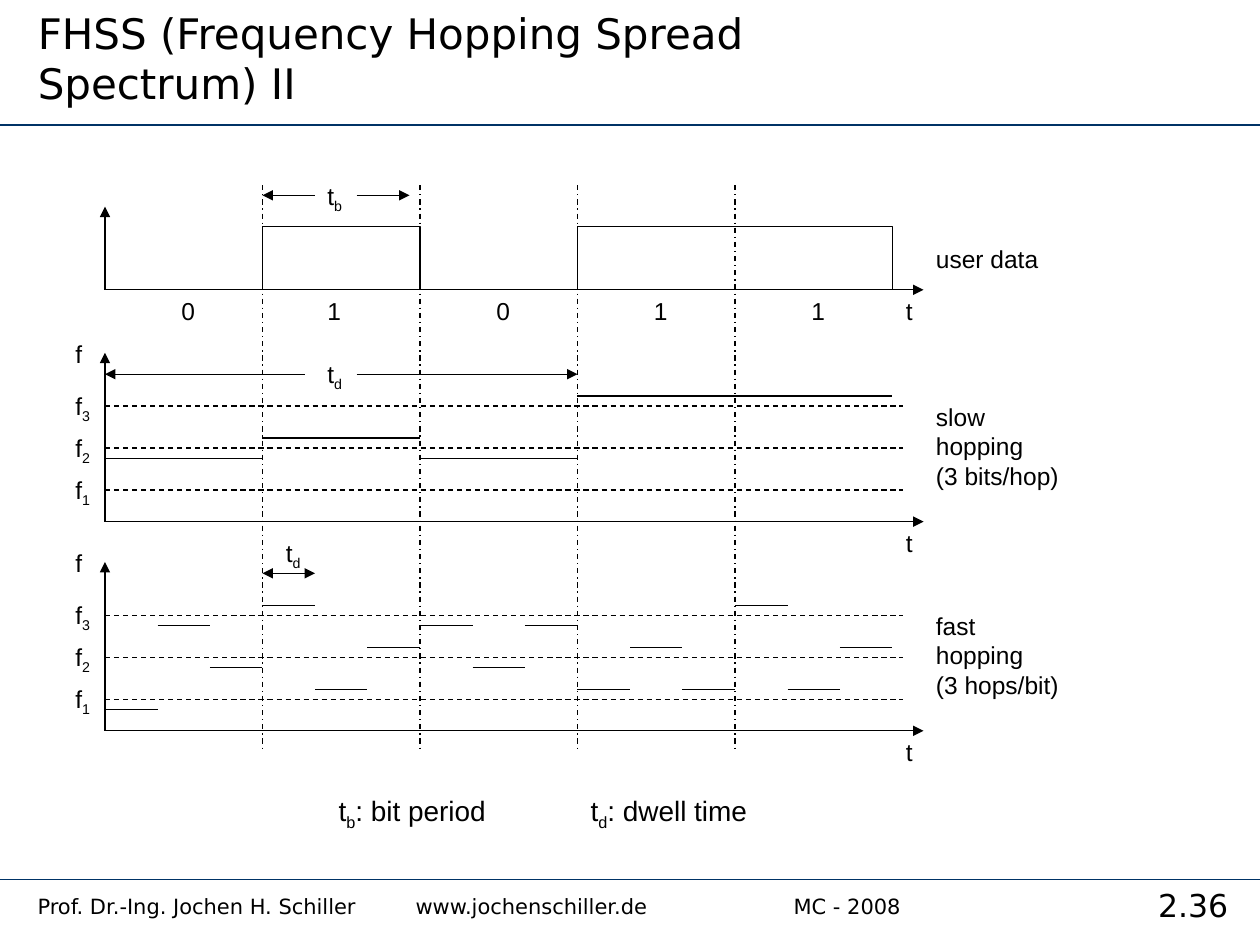
from lxml import etree
from pptx import Presentation
from pptx import util as u
from pptx.dml.color import RGBColor
from pptx.enum import dml, shapes, text
from pptx.oxml.ns import qn

COLORS = {"ink": "000000", "rule": "003366"}
HEADING_FONT, LABEL_FONT = "DejaVu Sans", "Arial"

ORIGIN, BIT = 5 / 6, 1.25
AXIS_END, GUIDE_END = 7.33, 7.17
DATA_BASE, PULSE = 2.3, 0.5
LEVEL_STEP, FIRST_LEVEL, SHIFT = 1 / 3, 0.25, 0.08
LABEL_LEFT, CAPTION_LEFT, TIME_LEFT = 0.5, 7.33, 7.09

BITS = [0, 1, 0, 1, 1]
BIT_LABEL_LEFTS = [1.34, 2.5, 3.84, 5.09, 6.34]
# Frequency index of every hop, grouped by bit
SLOW_HOPS = [[2], [2], [2], [3], [3]]
FAST_HOPS = [[1, 3, 2], [3, 1, 2], [3, 2, 3], [1, 2, 1], [3, 1, 2]]


def bit_start(index):
    return ORIGIN + index * BIT


class SlideBuilder:
    def __init__(self, prs):
        self.slide = prs.slides.add_slide(prs.slide_layouts[5])

    def fill_frame(self, frame, paragraphs, size, font, align=None):
        """Each paragraph is a list of runs; a run starting with _ is a subscript."""
        frame.word_wrap = True
        frame.auto_size = text.MSO_AUTO_SIZE.NONE
        frame.margin_left = frame.margin_right = u.Inches(0.1)
        frame.margin_top = frame.margin_bottom = u.Inches(0.05)
        for index, runs in enumerate(paragraphs):
            para = frame.paragraphs[0] if index == 0 else frame.add_paragraph()
            para.alignment = align or text.PP_ALIGN.LEFT
            if any("\t" in words for words in runs):
                stops = etree.SubElement(para._p.get_or_add_pPr(), qn("a:tabLst"))
                for inch in range(1, 8):
                    etree.SubElement(stops, qn("a:tab"), pos=str(u.Inches(inch)), algn="l")
            for words in runs:
                run = para.add_run()
                run.text = words.removeprefix("_")
                run.font.size = u.Pt(size)
                run.font.name = font
                run.font.color.rgb = RGBColor.from_string(COLORS["ink"])
                if words.startswith("_"):
                    run._r.get_or_add_rPr().set("baseline", "-25000")

    def title(self, words, left, top, width, height):
        heading = self.slide.shapes.title
        heading.left, heading.top = u.Inches(left), u.Inches(top)
        heading.width, heading.height = u.Inches(width), u.Inches(height)
        heading.text_frame.vertical_anchor = text.MSO_ANCHOR.BOTTOM
        self.fill_frame(heading.text_frame, [[words]], 24, HEADING_FONT)

    def label(self, paragraphs, left, top, width=0.35, height=0.34,
              size=14, font=LABEL_FONT, align=None):
        box = self.slide.shapes.add_textbox(
            u.Inches(left), u.Inches(top), u.Inches(width), u.Inches(height))
        self.fill_frame(box.text_frame, paragraphs, size, font, align)

    def symbol(self, letter, index, left, top):
        self.label([[letter, "_" + index]], left, top, height=0.37)

    def line(self, x1, y1, x2, y2, dash=None, head=False, tail=False,
             color="ink", weight=0.75):
        stroke = self.slide.shapes.add_connector(
            shapes.MSO_CONNECTOR.STRAIGHT,
            u.Inches(x1), u.Inches(y1), u.Inches(x2), u.Inches(y2))
        stroke.line.color.rgb = RGBColor.from_string(COLORS[color])
        stroke.line.width = u.Pt(weight)
        if dash:
            stroke.line.dash_style = dash
        outline = stroke.line._get_or_add_ln()
        for wanted, tag in ((head, "a:headEnd"), (tail, "a:tailEnd")):
            if wanted:
                etree.SubElement(outline, qn(tag), type="triangle")
        etree.SubElement(stroke._element.spPr, qn("a:effectLst"))

    def axes(self, base, height):
        self.line(ORIGIN, base, ORIGIN, base - height, tail=True)
        self.line(ORIGIN, base, AXIS_END, base, tail=True)
        self.label([["t"]], TIME_LEFT, base)

    def pulse(self, first_bit, bit_count):
        left, right = bit_start(first_bit), bit_start(first_bit + bit_count)
        top = DATA_BASE - PULSE
        builder = self.slide.shapes.build_freeform(u.Inches(left), u.Inches(DATA_BASE))
        builder.add_line_segments(
            [(u.Inches(x), u.Inches(y))
             for x, y in ((left, top), (right, top), (right, DATA_BASE))], close=False)
        signal = builder.convert_to_shape()
        signal.shadow.inherit = False
        signal.fill.background()
        signal.line.color.rgb = RGBColor.from_string(COLORS["ink"])
        signal.line.width = u.Pt(0.75)

    def hopping_chart(self, base, hops, caption):
        """Axes, dashed carrier frequencies and the hops around them."""
        self.axes(base, 1.34)
        self.label([["f"]], LABEL_LEFT, base - 1.5)
        self.label([[words] for words in caption], CAPTION_LEFT, base - 1, 1.3, 0.8)
        carriers = {n: base - FIRST_LEVEL - (n - 1) * LEVEL_STEP for n in (1, 2, 3)}
        for n, y in carriers.items():
            self.line(ORIGIN, y, GUIDE_END, y, dash=dml.MSO_LINE.DASH)
            self.symbol("f", str(n), LABEL_LEFT, y - 0.17)
        for index, (bit, bit_hops) in enumerate(zip(BITS, hops)):
            dwell = BIT / len(bit_hops)
            for step, n in enumerate(bit_hops):
                x = bit_start(index) + step * dwell
                y = carriers[n] + (-SHIFT if bit else SHIFT)
                self.line(x, y, x + dwell, y)


def main():
    prs = Presentation()
    prs.slide_width, prs.slide_height = u.Inches(10), u.Inches(7.5)
    page = SlideBuilder(prs)

    for y in (0.99, 6.98):
        page.line(0, y, 10, y, color="rule", weight=1)
    page.title("FHSS (Frequency Hopping Spread Spectrum) II", 0.2, 0, 6.61, 0.91)

    page.axes(DATA_BASE, 0.66)
    page.label([["user data"]], CAPTION_LEFT, 1.89, width=1.3)
    for bit, left in zip(BITS, BIT_LABEL_LEFTS):
        page.label([[str(bit)]], left, DATA_BASE)
    page.pulse(1, 1)
    page.pulse(3, 2)
    for index in range(1, len(BITS)):
        page.line(bit_start(index), 1.47, bit_start(index), 5.95,
                  dash=dml.MSO_LINE.DASH_DOT)

    page.hopping_chart(4.14, SLOW_HOPS, ["slow", "hopping", "(3 bits/hop)"])
    page.hopping_chart(5.8, FAST_HOPS, ["fast", "hopping", "(3 hops/bit)"])

    page.symbol("t", "b", 2.5, 1.39)
    page.line(bit_start(1), 1.55, 2.5, 1.55, head=True)
    page.line(2.83, 1.55, 3.25, 1.55, tail=True)
    page.symbol("t", "d", 2.5, 2.8)
    page.line(ORIGIN, 2.97, 2.42, 2.97, head=True)
    page.line(2.83, 2.97, bit_start(3), 2.97, tail=True)
    page.symbol("t", "d", 2.17, 4.22)
    page.line(bit_start(1), 4.55, bit_start(1) + BIT / 3, 4.55, head=True, tail=True)

    page.label([["t", "_b", ": bit period\tt", "_d", ": dwell time"]],
               2.59, 6.25, 3.6, 0.41, size=16)
    page.label([["Prof. Dr.-Ing. Jochen H. Schiller\twww.jochenschiller.de\t\tMC - 2008"]],
               0.2, 7.04, 8.74, 0.33, size=12, font=HEADING_FONT)
    page.label([["2.36"]], 8.94, 6.98, 1.06, 0.44, size=18, font=HEADING_FONT,
               align=text.PP_ALIGN.CENTER)
    prs.save("out.pptx")


if __name__ == "__main__":
    main()
